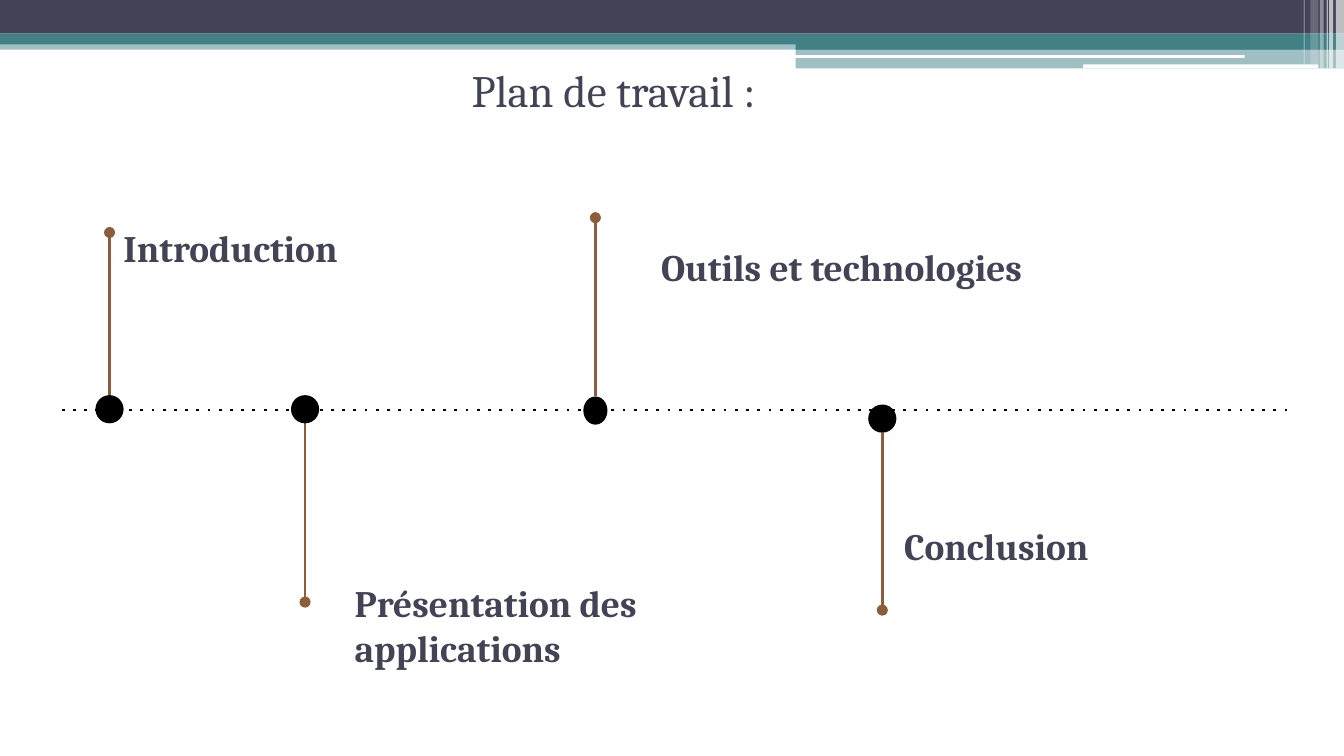
from dataclasses import dataclass

from lxml.etree import SubElement
from pptx import Presentation
from pptx.dml.color import RGBColor
from pptx.enum.shapes import MSO_CONNECTOR, MSO_SHAPE
from pptx.enum.text import MSO_ANCHOR, PP_ALIGN
from pptx.oxml.ns import qn
from pptx.util import Inches, Pt


@dataclass(frozen=True)
class Theme:
    font: str = "Cambria"
    ink: str = "424456"
    teal: str = "438086"
    white: str = "FFFFFF"
    black: str = "000000"
    stem: str = "8B5D3D"
    title_size: int = 24
    label_size: int = 20
    line_width: float = 1.5


THEME = Theme()
WIDTH = Inches(10)
HEIGHT = WIDTH * 9 // 16
COLUMNS, ROWS = 100, 56.25
AXIS = 30.5
DOT = 2.1

BANDS = [
    (0, 3, 100, 0.7, THEME.teal, 50),
    (0, 0, 100, 2.5, THEME.ink, 100),
    (0, 2.5, 100, 0.8, THEME.teal, 100),
    (59.2, 3, 40.8, 0.7, THEME.teal, 100),
    (59.2, 3.6, 40.8, 1.5, THEME.teal, 50),
]
SLITS = [(59.1, 4.1, 33.5, 0.2), (80.6, 4.8, 17.5, 0.3)]
STRIPES = [
    (99.4, 0.6, 5.1, 65),
    (98.9, 0.3, 5.1, 65),
    (98.7, 0.1, 5.1, 60),
    (98.2, 0.3, 5.1, 40),
    (97.5, 0.6, 4.8, 20),
    (97, 0.1, 4.8, 30),
]
MILESTONES = [
    (8.15, 29.4, DOT, 17.3),
    (22.7, 29.4, DOT, 44.8),
    (65.65, 30.1, DOT, 45.4),
    (44.3, 29.5, 1.8, 16.2),
]
LABELS = [
    ("Conclusion", 66.3, 37.9, 26.4, 10),
    ("Outils et technologies", 48.2, 17.2, 34.1, 5.9),
    ("Introduction", 8.2, 15.75, 29.1, 5.9),
    ("Présentation des applications", 25.4, 42.2, 26.8, 5.6),
]


def across(columns):
    return round(WIDTH * columns / COLUMNS)


def down(rows):
    return round(HEIGHT * rows / ROWS)


def area(left, top, width, height):
    return across(left), down(top), across(width), down(height)


def add_block(shapes, kind, place, color, opacity=100):
    block = shapes.add_shape(kind, *area(*place))
    block.shadow.inherit = False
    block.fill.solid()
    block.fill.fore_color.rgb = RGBColor.from_string(color)
    block.line.fill.background()
    if opacity < 100:
        tint = block.fill._xPr.find(".//" + qn("a:srgbClr"))
        SubElement(tint, qn("a:alpha"), val=str(opacity * 1000))


def add_line(shapes, start, end, color, dash=None, tail=None):
    line = shapes.add_connector(
        MSO_CONNECTOR.STRAIGHT,
        across(start[0]), down(start[1]), across(end[0]), down(end[1]),
    )
    line.line.width = Pt(THEME.line_width)
    line.line.color.rgb = RGBColor.from_string(color)
    outline = line.line._get_or_add_ln()
    if dash:
        SubElement(outline, qn("a:prstDash"), val=dash)
    if tail:
        SubElement(outline, qn("a:tailEnd"), type=tail)
    SubElement(line._element.spPr, qn("a:effectLst"))


def write(box, text, *, size, bold=False, align=PP_ALIGN.LEFT):
    frame = box.text_frame
    frame.word_wrap = True
    frame.vertical_anchor = MSO_ANCHOR.TOP
    frame.margin_left = frame.margin_right = Inches(0.1)
    frame.margin_top = frame.margin_bottom = Inches(0.1)
    para = frame.paragraphs[0]
    para.alignment = align
    span = para.add_run()
    span.text = text
    span.font.name = THEME.font
    span.font.size = Pt(size)
    span.font.bold = bold
    span.font.color.rgb = RGBColor.from_string(THEME.ink)


def add_banner(page):
    for *place, color, opacity in BANDS:
        add_block(page.shapes, MSO_SHAPE.RECTANGLE, place, color, opacity)
    for place in SLITS:
        add_block(page.shapes, MSO_SHAPE.ROUNDED_RECTANGLE, place, THEME.white)
    for left, width, height, opacity in STRIPES:
        place = (left, 0, width, height)
        add_block(page.shapes, MSO_SHAPE.RECTANGLE, place, THEME.white, opacity)


def add_title(page, text):
    title = page.shapes.title
    title.left, title.top, title.width, title.height = area(11.2, 3.7, 68.9, 8.8)
    write(title, text, size=THEME.title_size, align=PP_ALIGN.CENTER)


def add_label(page, text, *place):
    box = page.shapes.add_textbox(*area(*place))
    write(box, text, size=THEME.label_size, bold=True)


def add_milestone(page, center, top, width, tip):
    shapes = page.shapes.add_group_shape().shapes
    edge = top if tip < top else top + DOT
    add_line(shapes, (center, edge), (center, tip), THEME.stem, tail="oval")
    place = (center - width / 2, top, width, DOT)
    add_block(shapes, MSO_SHAPE.OVAL, place, THEME.black)


def main():
    deck = Presentation()
    deck.slide_width, deck.slide_height = WIDTH, HEIGHT
    page = deck.slides.add_slide(deck.slide_layouts.get_by_name("Title Only"))
    add_banner(page)
    add_title(page, "Plan de travail :")
    for label in LABELS:
        add_label(page, *label)
    add_line(page.shapes, (4.6, AXIS), (95.8, AXIS), THEME.black, dash="dot")
    for milestone in MILESTONES:
        add_milestone(page, *milestone)
    deck.save("out.pptx")


if __name__ == "__main__":
    main()
